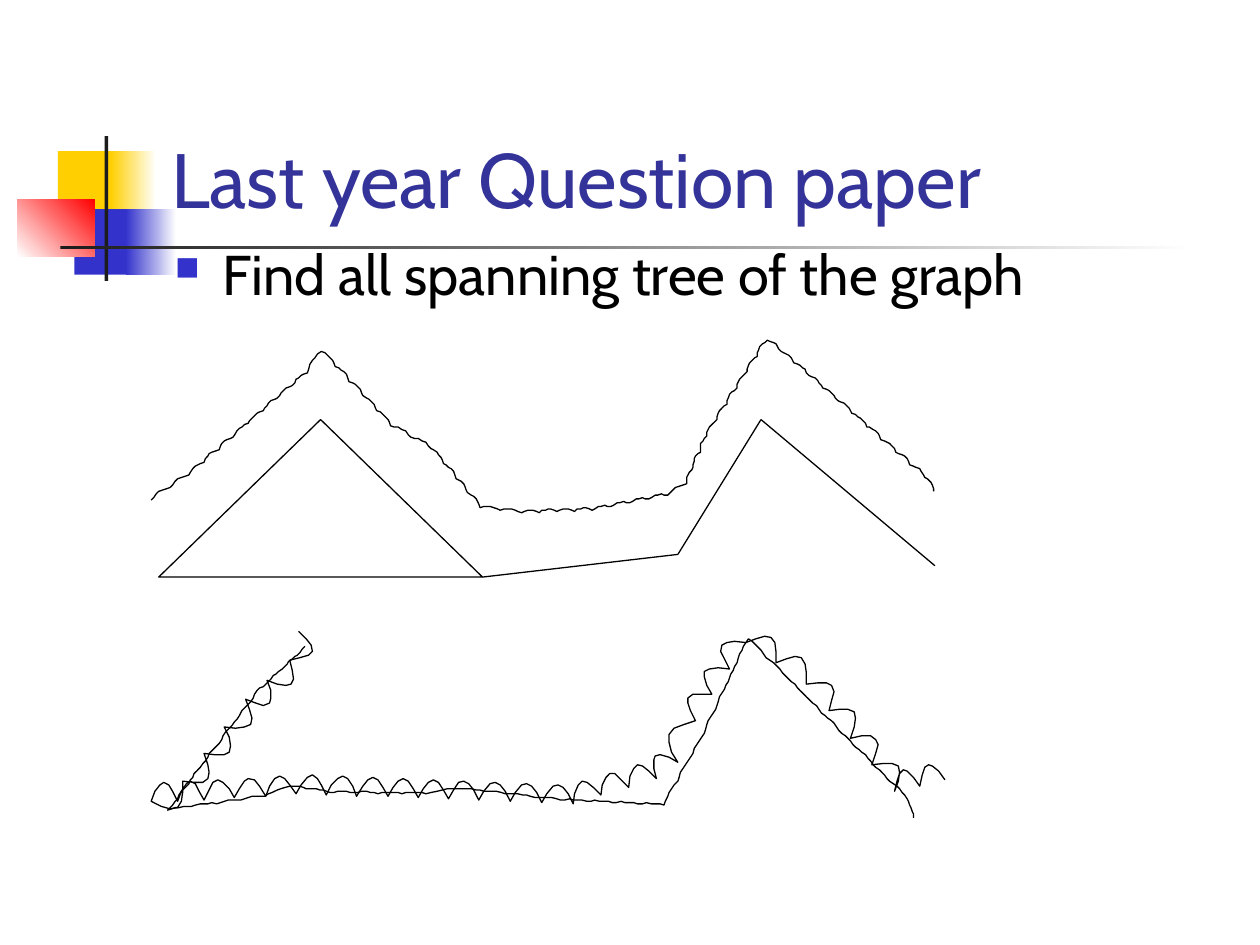
import math
from pptx import Presentation, util as u
from pptx.dml.color import RGBColor
from pptx.enum import shapes, text
from lxml import etree

W, H = 10, 7.5
FONT = "Cabin"
BLACK = RGBColor(0x00, 0x00, 0x00)
WHITE = RGBColor(0xFF, 0xFF, 0xFF)
YELLOW = RGBColor(0xFF, 0xCF, 0x01)
BLUE = RGBColor(0x33, 0x33, 0xCC)
RED = RGBColor(0xFF, 0x00, 0x00)
CHARCOAL = RGBColor(0x1C, 0x1C, 0x1C)
NAVY = RGBColor(0x33, 0x33, 0x99)
A = "{http://schemas.openxmlformats.org/drawingml/2006/main}"
SCALE = u.Inches(0.01)

ORNAMENT = [
    ((0.46, 1.2, 0.48, 0.52), (YELLOW,), 0),
    ((0.88, 1.2, 0.36, 0.52), (YELLOW, WHITE), 0),
    ((0.59, 1.66, 0.46, 0.52), (BLUE,), 0),
    ((1, 1.66, 0.4, 0.52), (BLUE, WHITE), 0),
    ((0.14, 1.58, 0.61, 0.46), (WHITE, RED), 45),
    ((0.83, 1.08, 0.03, 1.15), (CHARCOAL,), 0),
    ((0.48, 1.95, 9, 0.03), (CHARCOAL, WHITE), 0),
]
EDGES = [(3.83, 4.58), (5.38, 4.4), (6.04, 3.33), (7.42, 4.49)]

UPPER_TREE = [(1.2, 3.97), (1.5, 3.77), (2.44, 2.96), (2.55, 2.79), (3.1, 3.38),
              (3.42, 3.56), (3.81, 4.03), (4.14, 4.07), (4.7, 4.05), (5.3, 3.93),
              (5.45, 3.84), (5.61, 3.46), (6.09, 2.7), (6.3, 2.88), (7.34, 3.79),
              (7.41, 3.9)]
LOOPED_TREE = [(2.37, 5.01), (2.3, 5.24), (1.95, 5.55), (1.45, 6.2), (1.2, 6.36),
               (1.62, 6.35), (2.35, 6.3), (3.8, 6.35), (4.55, 6.38), (5.21, 6.18),
               (5.38, 6.05), (5.52, 5.72), (5.92, 5.1), (6.4, 5.43), (7.1, 6.28),
               (7.5, 6.19)]
LOWER_TREE = [(2.42, 5.13), (2.04, 5.48), (1.54, 6.14), (1.33, 6.43), (2.1, 6.32),
              (2.3, 6.24), (2.62, 6.29), (3.38, 6.3), (3.64, 6.26), (4.45, 6.35),
              (5.27, 6.39), (5.59, 5.82), (5.94, 5.07), (6.52, 5.66), (7.2, 6.34),
              (7.25, 6.49)]


def box(left, top, width, height):
    return [u.Inches(v) for v in (left, top, width, height)]


def write(tf, words, size, color, anchor=text.MSO_ANCHOR.TOP, bullet=None):
    tf.word_wrap = True
    tf.auto_size = text.MSO_AUTO_SIZE.NONE
    tf.vertical_anchor = anchor
    p = tf.paragraphs[0]
    p.alignment = text.PP_ALIGN.LEFT
    if bullet:
        pPr = p._p.get_or_add_pPr()
        pPr.set("marL", str(u.Inches(0.38)))
        pPr.set("indent", str(-u.Inches(0.38)))
        clr = etree.SubElement(pPr, A + "buClr")
        etree.SubElement(clr, A + "srgbClr", val=str(bullet))
        etree.SubElement(pPr, A + "buSzPct", val="60000")
        etree.SubElement(pPr, A + "buChar", char="■")
    r = p.add_run()
    r.text = words
    r.font.name = FONT
    r.font.size = u.Pt(size)
    r.font.color.rgb = color


def outline(sp):
    sp.line.color.rgb = BLACK
    sp.line.width = u.Pt(0.75)


def add_block(s, area, colors, angle):
    sp = s.shapes.add_shape(shapes.MSO_SHAPE.RECTANGLE, *box(*area))
    sp.shadow.inherit = False
    sp.line.fill.background()
    if len(colors) == 1:
        sp.fill.solid()
        sp.fill.fore_color.rgb = colors[0]
        return
    sp.fill.gradient()
    sp.fill.gradient_angle = angle
    for stop, color in zip(sp.fill.gradient_stops, colors):
        stop.color.rgb = color


def add_triangle(s, area):
    sp = s.shapes.add_shape(shapes.MSO_SHAPE.ISOSCELES_TRIANGLE, *box(*area))
    sp.shadow.inherit = False
    sp.fill.solid()
    sp.fill.fore_color.rgb = WHITE
    outline(sp)


def add_edge(s, start, end):
    sp = s.shapes.add_connector(shapes.MSO_CONNECTOR.STRAIGHT, *box(*start, *end))
    outline(sp)
    etree.SubElement(sp._element.spPr, A + "effectLst")


def looped(corners, height, pitch, steps=6):
    points = [corners[0]]
    for (x1, y1), (x2, y2) in zip(corners, corners[1:]):
        dx, dy = x2 - x1, y2 - y1
        length = math.hypot(dx, dy)
        loops = round(length / pitch)
        count = loops * steps
        for i in range(1, count):
            t = i / count
            bump = height * abs(math.sin(math.pi * loops * t)) / length
            points.append((x1 + t * dx + bump * dy, y1 + t * dy - bump * dx))
        points.append((x2, y2))
    return points


def add_stroke(s, points):
    start, *rest = [(x * 100, y * 100) for x, y in points]
    fb = s.shapes.build_freeform(*start, scale=SCALE)
    fb.add_line_segments(rest, close=False)
    sp = fb.convert_to_shape()
    sp.shadow.inherit = False
    sp.fill.background()
    outline(sp)


def main():
    prs = Presentation()
    prs.slide_width, prs.slide_height = u.Inches(W), u.Inches(H)
    s = prs.slides.add_slide(prs.slide_layouts[5])
    for block in ORNAMENT:
        add_block(s, *block)
    title = s.shapes.title
    title.left, title.top, title.width, title.height = box(1.26, 0.23, 8.52, 1.6)
    write(title.text_frame, "Last year Question paper", 44, NAVY,
          anchor=text.MSO_ANCHOR.BOTTOM)
    body = s.shapes.add_textbox(*box(1.29, 1.85, 8.5, 0.73))
    write(body.text_frame, "Find all spanning tree of the graph", 32, BLACK, bullet=BLUE)
    add_triangle(s, (1.26, 3.33, 2.57, 1.25))
    for start, end in zip(EDGES, EDGES[1:]):
        add_edge(s, start, end)
    add_stroke(s, looped(UPPER_TREE, height=0.02, pitch=0.15))
    add_stroke(s, looped(LOOPED_TREE, height=0.15, pitch=0.25))
    add_stroke(s, looped(LOWER_TREE, height=0.01, pitch=0.2))
    prs.save("out.pptx")


if __name__ == "__main__":
    main()
